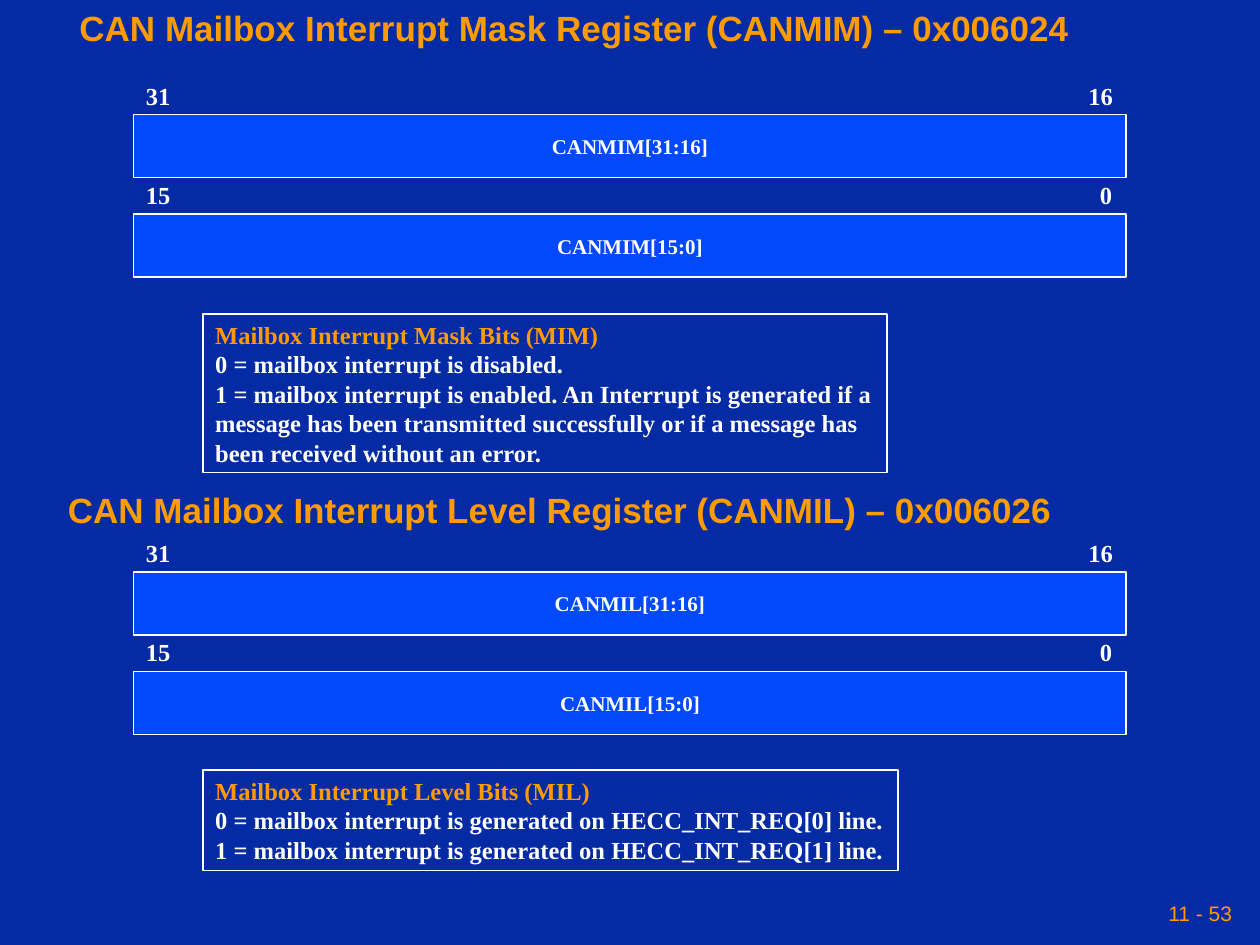
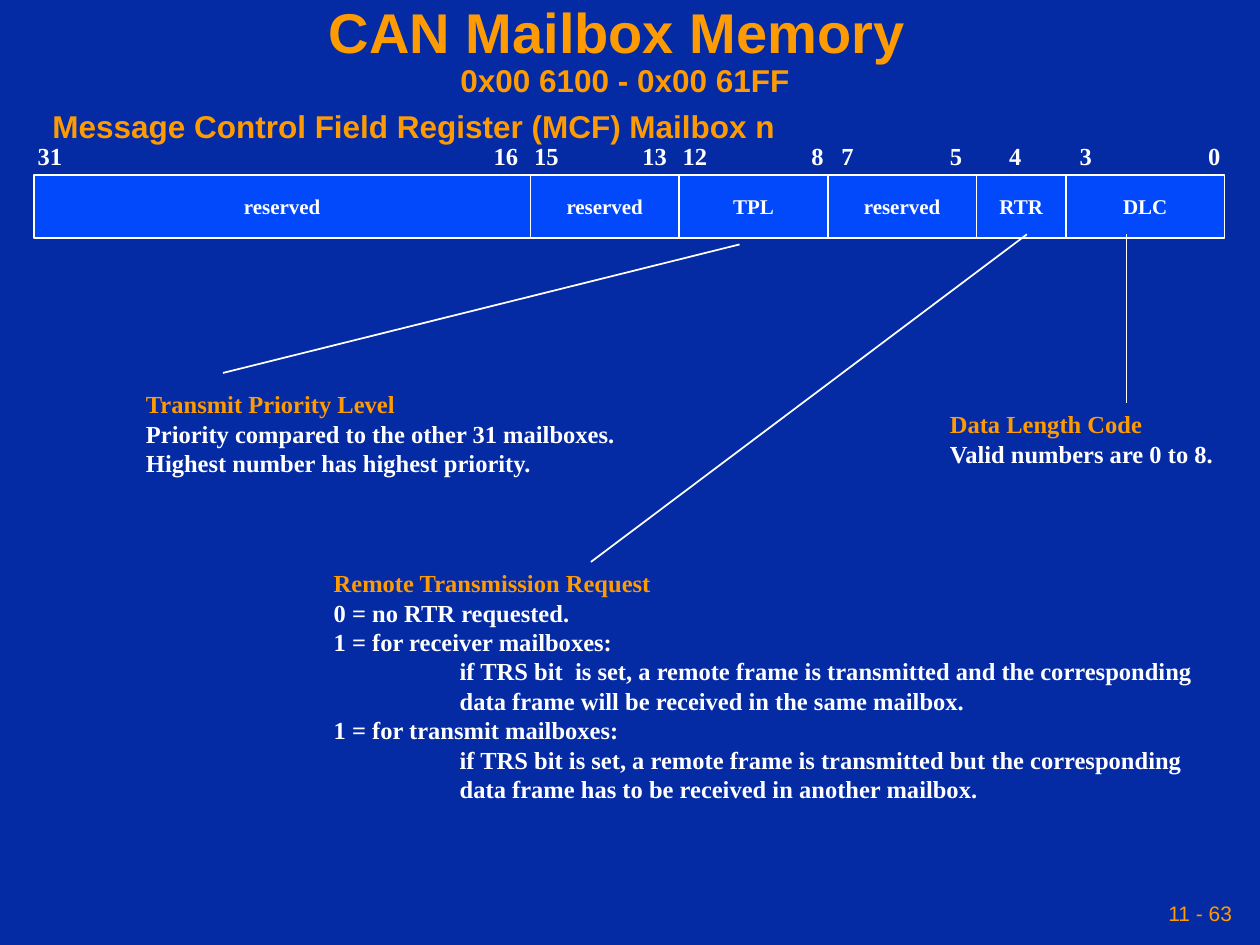
from lxml import etree
from pptx import Presentation
from pptx.dml.color import RGBColor
from pptx.enum.shapes import MSO_CONNECTOR, MSO_SHAPE
from pptx.enum.text import MSO_ANCHOR, MSO_AUTO_SIZE, PP_ALIGN
from pptx.oxml.ns import qn
from pptx.util import Inches, Pt

NAVY = RGBColor(0x04, 0x2A, 0xA4)
BLUE = RGBColor(0x02, 0x49, 0xFC)
ORANGE = RGBColor(0xFE, 0x9B, 0x03)
WHITE = RGBColor(0xFF, 0xFF, 0xFF)

SANS = "Arial"
SERIF = "Times New Roman"

LEFT, CENTER, RIGHT = PP_ALIGN.LEFT, PP_ALIGN.CENTER, PP_ALIGN.RIGHT
TOP, MIDDLE = MSO_ANCHOR.TOP, MSO_ANCHOR.MIDDLE
FIT_SHAPE, NO_FIT = MSO_AUTO_SIZE.SHAPE_TO_FIT_TEXT, MSO_AUTO_SIZE.NONE
RECTANGLE = MSO_SHAPE.RECTANGLE
STRAIGHT = MSO_CONNECTOR.STRAIGHT

FIELD_HEIGHT = 0.5
BIT_HEIGHT = 0.34
BIT_RISE = 0.32
WORD_LEFT, WORD_WIDTH, WORD_PITCH = 1.06, 7.88, 0.79


def place(shape, left, top, width, height):
    shape.left, shape.top = Inches(left), Inches(top)
    shape.width, shape.height = Inches(width), Inches(height)


def set_frame(frame, anchor=TOP, side=0.1, wrap=False, fit=NO_FIT):
    frame.margin_left = frame.margin_right = Inches(side)
    frame.margin_top = frame.margin_bottom = Inches(0.05)
    frame.vertical_anchor = anchor
    frame.word_wrap = wrap
    frame.auto_size = fit


def add_run(paragraph, text, size, color, font=SERIF, bold=True):
    run = paragraph.add_run()
    run.text = text
    run.font.size = Pt(size)
    run.font.name = font
    run.font.bold = bold
    run.font.color.rgb = color


def add_label(slide, text, box, size, color, font=SERIF, align=LEFT):
    label = slide.shapes.add_textbox(*map(Inches, box))
    set_frame(label.text_frame, fit=FIT_SHAPE)
    paragraph = label.text_frame.paragraphs[0]
    paragraph.alignment = align
    add_run(paragraph, text, size, color, font)


def add_page_number(slide, text):
    number = slide.shapes.add_textbox(*map(Inches, (6.83, 7.08, 3, 0.33)))
    set_frame(number.text_frame, MIDDLE, side=0.05)
    paragraph = number.text_frame.paragraphs[0]
    paragraph.alignment = RIGHT
    add_run(paragraph, text, 12, ORANGE, SANS, bold=False)


def bit_width(bit):
    return 0.4 if bit > 9 else 0.31


def add_bit(slide, bit, left, field_top):
    box = (left, field_top - BIT_RISE, bit_width(bit), BIT_HEIGHT)
    add_label(slide, str(bit), box, 14, WHITE)


def add_box(slide, box, fill=None):
    rectangle = slide.shapes.add_shape(RECTANGLE, *map(Inches, box))
    rectangle.shadow.inherit = False
    if fill is None:
        rectangle.fill.background()
    else:
        rectangle.fill.solid()
        rectangle.fill.fore_color.rgb = fill
    rectangle.line.color.rgb = WHITE
    rectangle.line.width = Pt(1)
    return rectangle


def add_field(slide, name, left, top, width):
    field = add_box(slide, (left, top, width, FIELD_HEIGHT), BLUE)
    set_frame(field.text_frame, MIDDLE)
    paragraph = field.text_frame.paragraphs[0]
    paragraph.alignment = CENTER
    add_run(paragraph, name, 12, WHITE)


def add_register(slide, name, top):
    for row, (high, low) in enumerate([(31, 16), (15, 0)]):
        row_top = top + row * WORD_PITCH
        add_bit(slide, high, WORD_LEFT, row_top)
        add_bit(slide, low, WORD_LEFT + WORD_WIDTH - bit_width(low), row_top)
        add_field(slide, f"{name}[{high}:{low}]", WORD_LEFT, row_top, WORD_WIDTH)


def add_description(slide, box, heading, lines, framed=False):
    if framed:
        description = add_box(slide, box)
    else:
        description = slide.shapes.add_textbox(*map(Inches, box))
    frame = description.text_frame
    set_frame(frame, fit=FIT_SHAPE)
    frame.paragraphs[0].alignment = LEFT
    add_run(frame.paragraphs[0], heading, 14, ORANGE)
    for level, text in lines:
        paragraph = frame.add_paragraph()
        paragraph.alignment = LEFT
        if level:
            properties = paragraph._p.get_or_add_pPr()
            properties.set("marL", str(Inches(level)))
            properties.set("indent", "0")
        add_run(paragraph, text, 14, WHITE)


def add_pointer(slide, *ends):
    pointer = slide.shapes.add_connector(STRAIGHT, *map(Inches, ends))
    pointer.line.color.rgb = WHITE
    pointer.line.width = Pt(1)
    etree.SubElement(pointer._element.spPr, qn("a:effectLst"))


def add_slide(prs, page):
    slide = prs.slides.add_slide(prs.slide_layouts[5])
    add_page_number(slide, page)
    return slide


def build_interrupt_registers(prs):
    slide = add_slide(prs, "11 - 53")
    title = slide.shapes.title
    place(title, 0.53, 0, 8.08, 0.43)
    set_frame(title.text_frame, fit=FIT_SHAPE)
    heading = title.text_frame.paragraphs[0]
    heading.alignment = LEFT
    add_run(heading, "CAN Mailbox Interrupt Mask Register (CANMIM) – 0x006024",
            20, ORANGE, SANS)
    add_register(slide, "CANMIM", 0.91)
    add_description(slide, (1.61, 2.49, 5.43, 1.26), "Mailbox Interrupt Mask Bits (MIM)", [
        (0, "0 = mailbox interrupt is disabled."),
        (0, "1 = mailbox interrupt is enabled. An Interrupt is generated if a"),
        (0, "message has been transmitted successfully or if a message has"),
        (0, "been received without an error."),
    ], framed=True)

    add_label(slide, "CAN Mailbox Interrupt Level Register (CANMIL) – 0x006026",
              (0.44, 3.83, 8.03, 0.43), 20, ORANGE, SANS)
    add_register(slide, "CANMIL", 4.54)
    add_description(slide, (1.61, 6.11, 5.52, 0.8), "Mailbox Interrupt Level Bits (MIL)", [
        (0, "0 = mailbox interrupt is generated on HECC_INT_REQ[0] line."),
        (0, "1 = mailbox interrupt is generated on HECC_INT_REQ[1] line."),
    ], framed=True)


def build_mailbox_memory(prs):
    slide = add_slide(prs, "11 - 63")
    title = slide.shapes.title
    place(title, 0, 0, 9.92, 0.83)
    set_frame(title.text_frame, MIDDLE, side=0.05, wrap=True)
    heading = title.text_frame.paragraphs[0]
    heading.alignment = CENTER
    heading.line_spacing = 0.9
    add_run(heading, "CAN Mailbox Memory ", 32, ORANGE, SANS)
    heading.add_line_break()
    add_run(heading, "0x00 6100 - 0x00 61FF", 18, ORANGE, SANS)
    add_label(slide, "Message Control Field Register (MCF) Mailbox n",
              (0.3, 0.8, 5.97, 0.4), 18, ORANGE, SANS, CENTER)

    fields_top = 1.39
    field_left = 0.27
    fields = [
        ("reserved", 3.94, [(31, 0.2), (16, 3.82)]),
        ("reserved", 1.18, [(15, 4.14), (13, 5)]),
        ("TPL", 1.18, [(12, 5.32), (8, 6.34)]),
        ("reserved", 1.18, [(7, 6.58), (5, 7.44)]),
        ("RTR", 0.71, [(4, 7.91)]),
        ("DLC", 1.26, [(3, 8.47), (0, 9.49)]),
    ]
    for name, width, bits in fields:
        add_field(slide, name, field_left, fields_top, width)
        for bit, bit_left in bits:
            add_bit(slide, bit, bit_left, fields_top)
        field_left += width

    add_pointer(slide, 5.87, 1.94, 1.77, 2.96)
    add_pointer(slide, 8.94, 1.86, 8.94, 3.2)
    add_pointer(slide, 8.15, 1.86, 4.69, 4.46)

    add_description(slide, (1.06, 3.04, 3.95, 0.8), "Transmit Priority Level", [
        (0, "Priority compared to the other 31 mailboxes."),
        (0, "Highest number has highest priority."),
    ])
    add_description(slide, (7.44, 3.2, 2.43, 0.56), "Data Length Code", [
        (0, "Valid numbers are 0 to 8."),
    ])
    add_description(slide, (2.55, 4.46, 7.09, 1.96), "Remote Transmission Request", [
        (0, "0 = no RTR requested."),
        (0, "1 = for receiver mailboxes:"),
        (1, "if TRS bit  is set, a remote frame is transmitted and the corresponding"),
        (1, "data frame will be received in the same mailbox."),
        (0, "1 = for transmit mailboxes:"),
        (1, "if TRS bit is set, a remote frame is transmitted but the corresponding"),
        (1, "data frame has to be received in another mailbox."),
    ])


def main():
    prs = Presentation()
    prs.slide_width, prs.slide_height = Inches(10), Inches(7.5)
    backdrop = prs.slide_master.background.fill
    backdrop.solid()
    backdrop.fore_color.rgb = NAVY
    build_interrupt_registers(prs)
    build_mailbox_memory(prs)
    prs.save("out.pptx")


if __name__ == "__main__":
    main()
